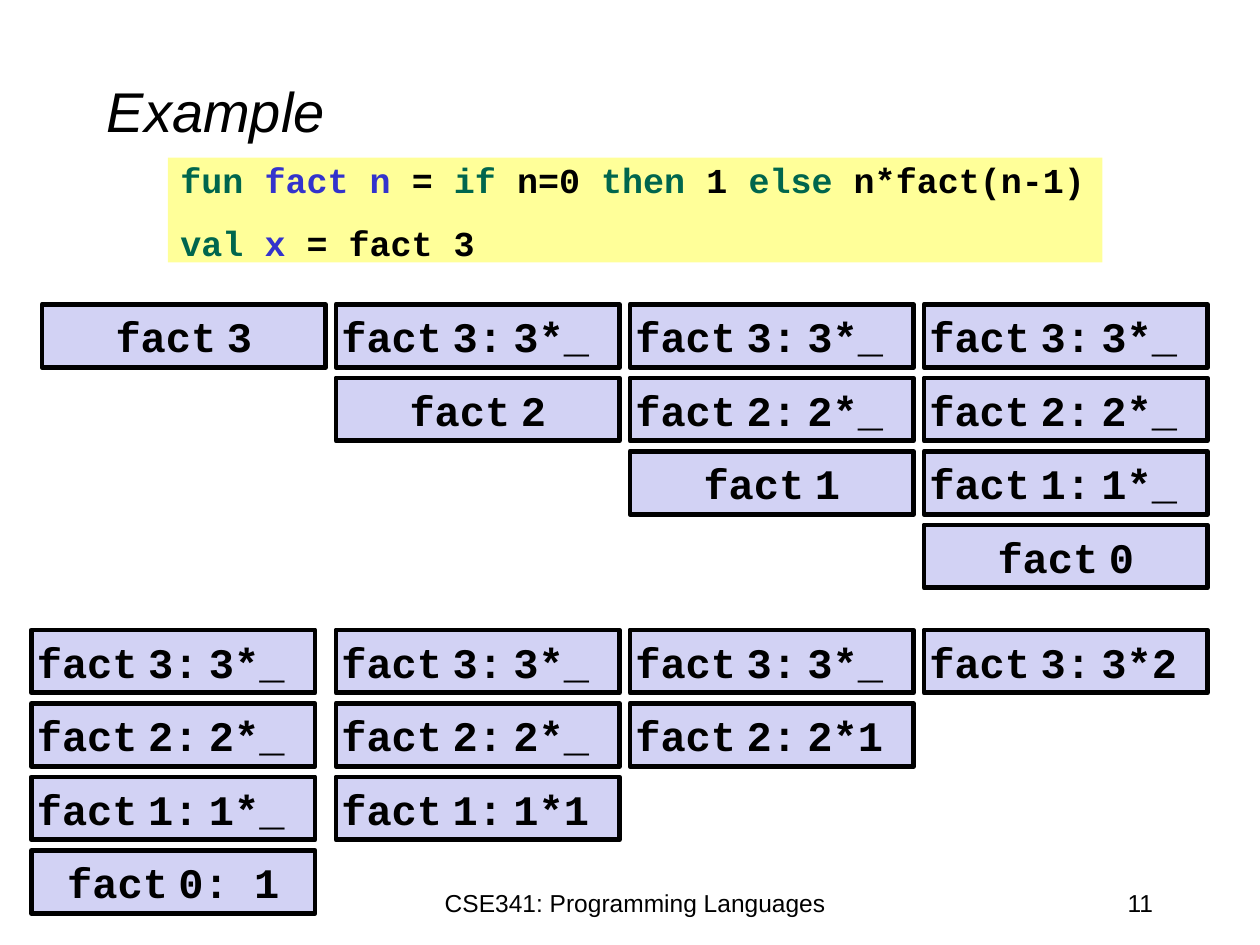
from dataclasses import dataclass

from pptx import Presentation
from pptx.dml.color import RGBColor
from pptx.enum.shapes import MSO_SHAPE
from pptx.enum.text import MSO_ANCHOR, PP_ALIGN
from pptx.util import Pt


@dataclass(frozen=True)
class Theme:
    text: str = "000000"
    keyword: str = "00664D"
    binding: str = "3333CC"
    code_fill: str = "FFFF99"
    frame_fill: str = "D2D2F4"
    body_font: str = "Arial"
    code_font: str = "Courier New"
    title_size: int = 32
    footer_size: int = 14
    code_size: int = 20
    frame_size: int = 24
    gap_size: int = 10
    frame_line: float = 2.75


THEME = Theme()

# Content
TITLE = "Example"
FOOTER = "CSE341: Programming Languages"
PAGE_NUMBER = "11"

CODE = [
    [("fun ", THEME.keyword), ("fact n", THEME.binding), (" =", THEME.text),
     (" if ", THEME.keyword), ("n=0", THEME.text), (" then ", THEME.keyword),
     ("1 ", THEME.text), ("else ", THEME.keyword), ("n*fact(n-1)", THEME.text)],
    [("val ", THEME.keyword), ("x", THEME.binding), (" = fact 3", THEME.text)],
]

# Each call stack is listed from its top box down; label parts get a narrow gap
WAITING_3 = ("fact", "3:", "3*_ ")
WAITING_2 = ("fact", "2:", "2*_ ")
WAITING_1 = ("fact", "1:", "1*_ ")
CALL_STACKS = [
    [("fact", "3")],
    [WAITING_3, ("fact", "2")],
    [WAITING_3, WAITING_2, ("fact", "1")],
    [WAITING_3, WAITING_2, WAITING_1, ("fact", "0")],
]
RETURN_STACKS = [
    [WAITING_3, WAITING_2, WAITING_1, ("fact", "0: 1")],
    [WAITING_3, WAITING_2, ("fact", "1:", "1*1 ")],
    [WAITING_3, ("fact", "2:", "2*1 ")],
    [("fact", "3:", "3*2 ")],
]

# Stack grid, in points
FRAME_WIDTH, FRAME_HEIGHT = 162, 36
COLUMN_STEP, ROW_STEP = 168, 42
COLUMNS = [24 + COLUMN_STEP * index for index in range(4)]
CALL_TOP, RETURN_TOP = 174, 360
RETURN_COLUMNS = [18] + COLUMNS[1:]


def add_run(paragraph, text, font, size, color=THEME.text, bold=False, italic=False):
    run = paragraph.add_run()
    run.text = text
    run.font.name = font
    run.font.size = Pt(size)
    run.font.bold = bold
    run.font.italic = italic
    run.font.color.rgb = RGBColor.from_string(color)


def add_label(slide, text, box, size, align, anchor=MSO_ANCHOR.TOP, italic=False):
    text_frame = slide.shapes.add_textbox(*map(Pt, box)).text_frame
    text_frame.word_wrap = True
    text_frame.vertical_anchor = anchor
    paragraph = text_frame.paragraphs[0]
    paragraph.alignment = align
    add_run(paragraph, text, THEME.body_font, size, italic=italic)


def add_box(slide, box, fill):
    shape = slide.shapes.add_shape(MSO_SHAPE.RECTANGLE, *map(Pt, box))
    shape.shadow.inherit = False
    shape.fill.solid()
    shape.fill.fore_color.rgb = RGBColor.from_string(fill)
    shape.line.fill.background()
    shape.text_frame.word_wrap = True
    shape.text_frame.vertical_anchor = MSO_ANCHOR.TOP
    return shape


def add_code(slide):
    text_frame = add_box(slide, (96, 90, 534, 60), THEME.code_fill).text_frame
    for index, line in enumerate(CODE):
        paragraph = text_frame.add_paragraph() if index else text_frame.paragraphs[0]
        paragraph.alignment = PP_ALIGN.LEFT
        paragraph.line_spacing = 0.9
        if index:
            paragraph.space_before = Pt(14.4)
        for text, color in line:
            add_run(paragraph, text, THEME.code_font, THEME.code_size, color, bold=True)


def add_frame(slide, left, top, parts):
    shape = add_box(slide, (left, top, FRAME_WIDTH, FRAME_HEIGHT), THEME.frame_fill)
    shape.line.color.rgb = RGBColor.from_string(THEME.text)
    shape.line.width = Pt(THEME.frame_line)
    shape.text_frame.margin_left = shape.text_frame.margin_right = 0
    paragraph = shape.text_frame.paragraphs[0]
    paragraph.alignment = PP_ALIGN.CENTER
    for index, part in enumerate(parts):
        if index:
            add_run(paragraph, " ", THEME.code_font, THEME.gap_size, bold=True)
        add_run(paragraph, part, THEME.code_font, THEME.frame_size, bold=True)


def add_stacks(slide, stacks, columns, top):
    for left, stack in zip(columns, stacks):
        for row, parts in enumerate(stack):
            add_frame(slide, left, top + row * ROW_STEP, parts)


def main():
    presentation = Presentation()
    presentation.slide_width, presentation.slide_height = Pt(720), Pt(540)
    slide = presentation.slides.add_slide(presentation.slide_layouts[6])

    # Title and footer
    add_label(slide, TITLE, (54, 18, 612, 90), THEME.title_size, PP_ALIGN.LEFT,
              MSO_ANCHOR.MIDDLE, italic=True)
    add_label(slide, PAGE_NUMBER, (516, 504, 150, 36), THEME.footer_size, PP_ALIGN.RIGHT)
    add_label(slide, FOOTER, (228, 504, 270, 36), THEME.footer_size, PP_ALIGN.CENTER)

    # Program, then the stack growing and shrinking
    add_code(slide)
    add_stacks(slide, CALL_STACKS, COLUMNS, CALL_TOP)
    add_stacks(slide, RETURN_STACKS, RETURN_COLUMNS, RETURN_TOP)

    presentation.save("out.pptx")


if __name__ == "__main__":
    main()
